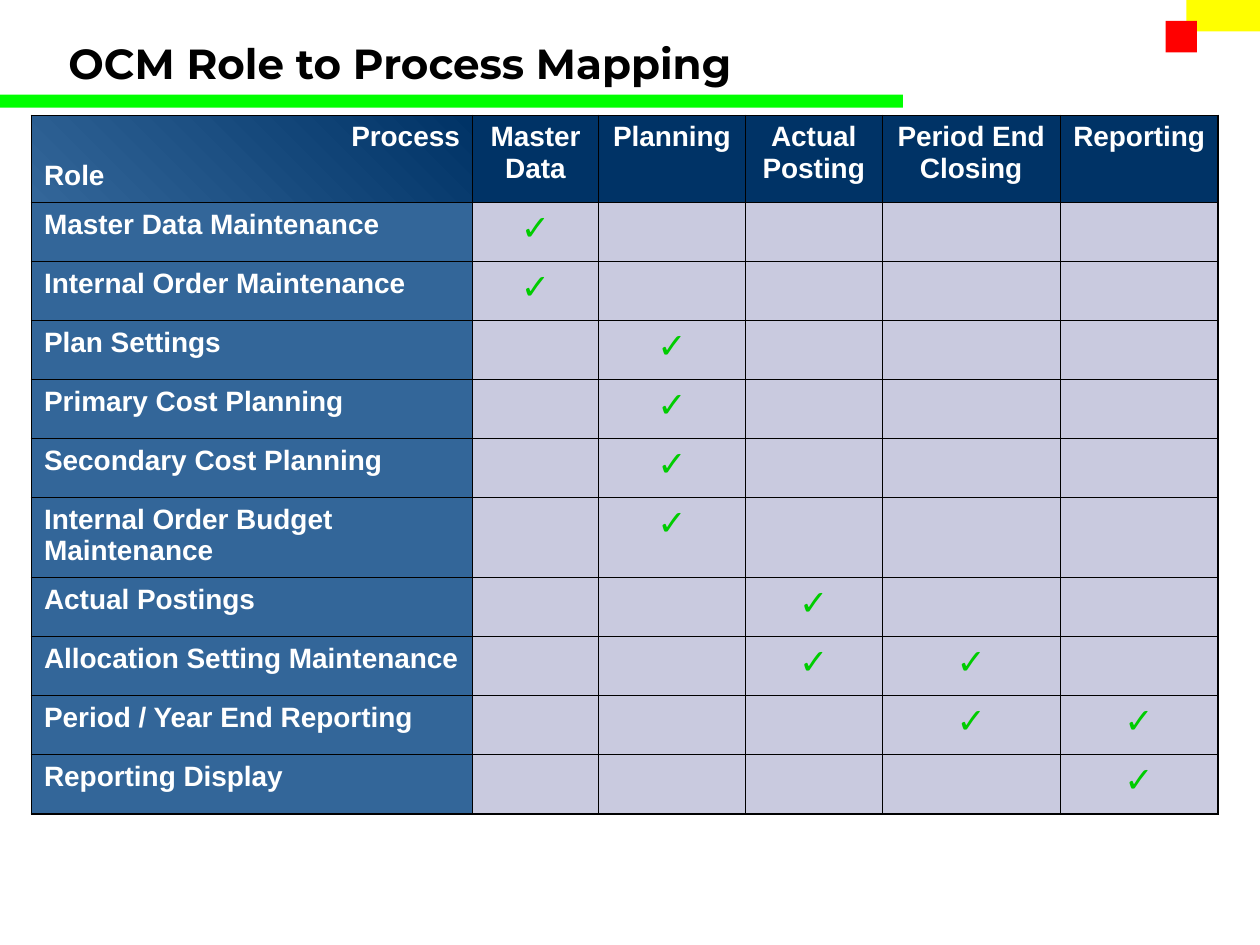
import pptx
import pptx.dml.color
import pptx.enum.shapes
import pptx.enum.text
import pptx.oxml
import pptx.oxml.ns
import pptx.util

Pt = pptx.util.Pt
ALIGN = pptx.enum.text.PP_ALIGN


class Theme:
    black, white = "000000", "FFFFFF"
    lime, yellow, red = "00FF00", "FFFF00", "FF0000"
    navy, blue, pale, green = "003366", "336699", "C9CADF", "00CC00"
    head, body = "Montserrat", "Arial"
    title, label, tick = 24, 16, 20
    thin, thick = 0.45, 1.08


HEADS = ["Master Data", "Planning", "Actual Posting", "Period End Closing", "Reporting"]
# Each role with the numbers of the processes it takes part in
ROLES = [
    ("Master Data Maintenance", [1]),
    ("Internal Order Maintenance", [1]),
    ("Plan Settings", [2]),
    ("Primary Cost Planning", [2]),
    ("Secondary Cost Planning", [2]),
    ("Internal Order Budget Maintenance", [2]),
    ("Actual Postings", [3]),
    ("Allocation Setting Maintenance", [3, 4]),
    ("Period / Year End Reporting", [4, 5]),
    ("Reporting Display", [5]),
]
WIDTHS = [252, 72, 84, 78, 102, 90]
ROW, TALL, TOP = 33.75, 45.75, 49.75
WRAPPED = 6  # the role name that takes two lines


def rgb(code):
    return pptx.dml.color.RGBColor.from_string(code)


def paint(item, color):
    item.fill.solid()
    item.fill.fore_color.rgb = rgb(color)


def bar(slide, box, color):
    kind = pptx.enum.shapes.MSO_SHAPE.RECTANGLE
    shape = slide.shapes.add_shape(kind, *map(Pt, box))
    shape.shadow.inherit = False
    paint(shape, color)
    shape.line.fill.background()


def write(para, text, size, color, face=Theme.body, align=ALIGN.LEFT, before=0):
    para.alignment = align
    para.space_before = Pt(before)
    run = para.add_run()
    run.text = text
    run.font.color.rgb = rgb(color)
    for name, value in {"size": Pt(size), "name": face, "bold": True}.items():
        setattr(run.font, name, value)


def title(slide, text):
    frame = slide.shapes.add_textbox(*map(Pt, (32, 18, 664, 36))).text_frame
    frame.word_wrap = True
    frame.vertical_anchor = pptx.enum.text.MSO_ANCHOR.MIDDLE
    write(frame.paragraphs[0], text, Theme.title, Theme.black, Theme.head)


def border(cell, sides):
    props = cell._tc.get_or_add_tcPr()
    for place, (side, width) in enumerate(sides.items()):
        line = pptx.oxml.parse_xml(
            f'<a:ln{side} {pptx.oxml.ns.nsdecls("a")} w="{Pt(width)}">'
            f'<a:solidFill><a:srgbClr val="{Theme.black}"/></a:solidFill></a:ln{side}>')
        props.insert(place, line)


def corner(cell):
    cell.fill.gradient()
    cell.fill.gradient_angle = 225
    for stop, color, spot in zip(cell.fill.gradient_stops, (Theme.navy, Theme.blue), (0, 1)):
        stop.color.rgb = rgb(color)
        stop.position = spot
    frame = cell.text_frame
    for para, text, align in (
            (frame.paragraphs[0], "Process", ALIGN.RIGHT),
            (frame.add_paragraph(), "Role", ALIGN.LEFT)):
        write(para, text, Theme.label, Theme.white, align=align, before=4)


def fill(cell, row, col):
    para = cell.text_frame.paragraphs[0]
    if row == 0 and col == 0:
        corner(cell)
    elif row == 0:
        paint(cell, Theme.navy)
        write(para, HEADS[col - 1], Theme.label, Theme.white, align=ALIGN.CENTER, before=4)
    elif col == 0:
        paint(cell, Theme.blue)
        write(para, ROLES[row - 1][0], Theme.label, Theme.white, before=4)
    else:
        paint(cell, Theme.pale)
        if col in ROLES[row - 1][1]:
            write(para, "✓", Theme.tick, Theme.green, align=ALIGN.CENTER, before=5)


def matrix(slide):
    heights = [TOP] + [ROW] * len(ROLES)
    heights[WRAPPED] = TALL
    rows, cols = len(heights), len(WIDTHS)
    box = (18, 66, sum(WIDTHS), sum(heights))
    table = slide.shapes.add_table(rows, cols, *map(Pt, box)).table
    table.first_row = table.horz_banding = False
    for col, width in enumerate(WIDTHS):
        table.columns[col].width = Pt(width)
    for row, height in enumerate(heights):
        table.rows[row].height = Pt(height)
        for col in range(cols):
            cell = table.cell(row, col)
            fill(cell, row, col)
            # Thick lines on the outer edge only
            edges = {"L": col == 0, "R": col == cols - 1,
                     "T": row == 0, "B": row == rows - 1}
            border(cell, {side: Theme.thick if outer else Theme.thin
                          for side, outer in edges.items()})


def main():
    deck = pptx.Presentation()
    deck.slide_width, deck.slide_height = Pt(720), Pt(540)
    slide = deck.slides.add_slide(deck.slide_layouts[6])
    # Decoration
    bar(slide, (0, 54, 516, 7.5), Theme.lime)
    bar(slide, (678, 0, 42, 18), Theme.yellow)
    bar(slide, (666, 12, 18, 18), Theme.red)
    # Content
    title(slide, "OCM Role to Process Mapping")
    matrix(slide)
    deck.save("out.pptx")


if __name__ == "__main__":
    main()
